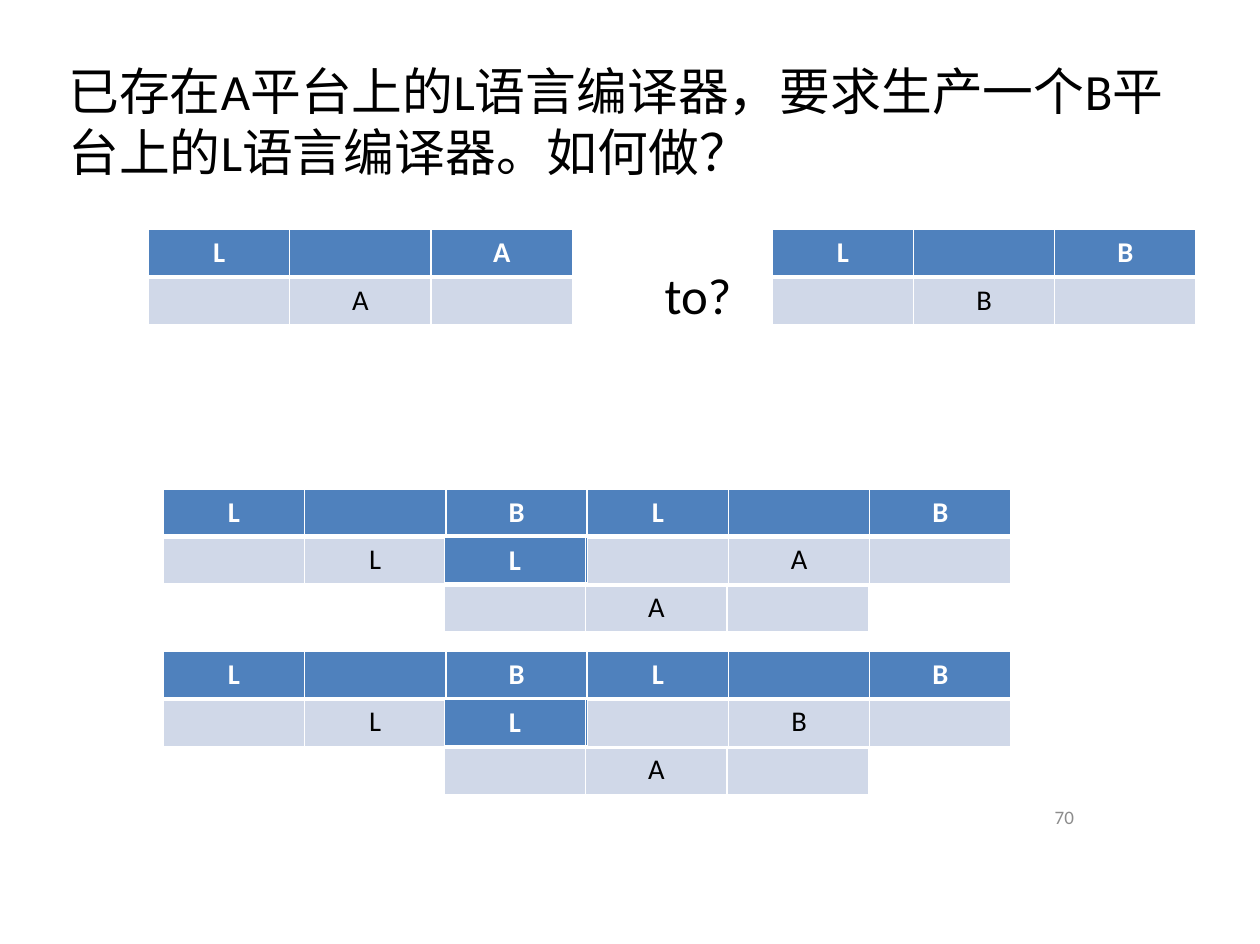
from dataclasses import dataclass

from lxml.etree import SubElement
from pptx import Presentation
from pptx.dml.color import RGBColor
from pptx.enum.text import MSO_ANCHOR as Anchor, PP_ALIGN as Align
from pptx.oxml.ns import qn
from pptx.util import Inches, Pt


@dataclass(frozen=True)
class Theme:
    font: str = "Calibri"
    ink: str = "000000"
    white: str = "FFFFFF"
    header: str = "4F81BD"
    body: str = "D0D8E8"
    muted: str = "8C8C8C"
    question_size: int = 32
    cell_size: int = 18
    number_size: int = 12
    thin: int = 1
    thick: int = 3


THEME = Theme()
DIAGRAM_WIDTH, DIAGRAM_HEIGHT = 3.71, 0.83
ROW_STEP = 0.42


def write(frame, text, size=THEME.question_size, color=THEME.ink, bold=False,
          align=Align.LEFT, anchor=Anchor.TOP):
    frame.word_wrap = True
    frame.vertical_anchor = anchor
    paragraph = frame.paragraphs[0]
    paragraph.alignment = align
    run = paragraph.add_run()
    run.text = text
    run.font.name = THEME.font
    run.font.size = Pt(size)
    run.font.bold = bold
    run.font.color.rgb = RGBColor.from_string(color)


def add_text(slide, text, left, top, width, height, **style):
    box = slide.shapes.add_textbox(Inches(left), Inches(top), Inches(width), Inches(height))
    write(box.text_frame, text, **style)


def style_cell(cell, fill, top, bottom):
    """Fill the cell and rule its edges in white; top and bottom are widths in points."""
    properties = cell._tc.get_or_add_tcPr()
    edges = {"lnL": THEME.thin, "lnR": THEME.thin, "lnT": top, "lnB": bottom}
    for edge, width in edges.items():
        line = SubElement(properties, qn(f"a:{edge}"), w=str(Pt(width)))
        SubElement(SubElement(line, qn("a:solidFill")), qn("a:srgbClr"), val=THEME.white)
    cell.fill.solid()
    cell.fill.fore_color.rgb = RGBColor.from_string(fill)


def add_compiler(slide, left, top, source, target, host):
    """Draw a T-diagram: a compiler from source to target, running on host."""
    table = slide.shapes.add_table(2, 3, Inches(left), Inches(top),
                                   Inches(DIAGRAM_WIDTH), Inches(DIAGRAM_HEIGHT)).table
    table.horz_banding = False
    header = ((source, "", target), THEME.header, THEME.white, True, THEME.thin, THEME.thick)
    body = (("", host, ""), THEME.body, THEME.ink, False, THEME.thick, THEME.thin)
    for row, (labels, fill, color, bold, upper, lower) in enumerate((header, body)):
        for column, label in enumerate(labels):
            cell = table.cell(row, column)
            style_cell(cell, fill, upper, lower)
            if label:
                write(cell.text_frame, label, size=THEME.cell_size, color=color,
                      bold=bold, align=Align.CENTER)


def add_stage(slide, top, input_compiler, running_compiler, output_compiler):
    """Draw three interlocking T-diagrams, the running one a row lower."""
    add_compiler(slide, 1.43, top, *input_compiler)
    add_compiler(slide, 3.89, top + ROW_STEP, *running_compiler)
    add_compiler(slide, 1.43 + DIAGRAM_WIDTH, top, *output_compiler)


def main():
    presentation = Presentation()
    presentation.slide_width = Inches(11.03)
    presentation.slide_height = Inches(8.26)
    slide = presentation.slides.add_slide(presentation.slide_layouts[6])

    add_text(slide, "已存在A平台上的L语言编译器，要求生产一个B平台上的L语言编译器。如何做？",
             0.5, 0.47, 10.17, 1.2)
    add_text(slide, "to?", 5.72, 2.26, 1, 0.63)
    add_text(slide, "70", 7.17, 6.95, 2.33, 0.4, size=THEME.number_size,
             color=THEME.muted, align=Align.RIGHT, anchor=Anchor.MIDDLE)

    add_compiler(slide, 1.3, 2.01, *"LAA")
    add_compiler(slide, 6.76, 2.01, *"LBB")
    add_stage(slide, 4.28, "LBL", "LAA", "LBA")
    add_stage(slide, 5.7, "LBL", "LBA", "LBB")

    presentation.save("out.pptx")


if __name__ == "__main__":
    main()
